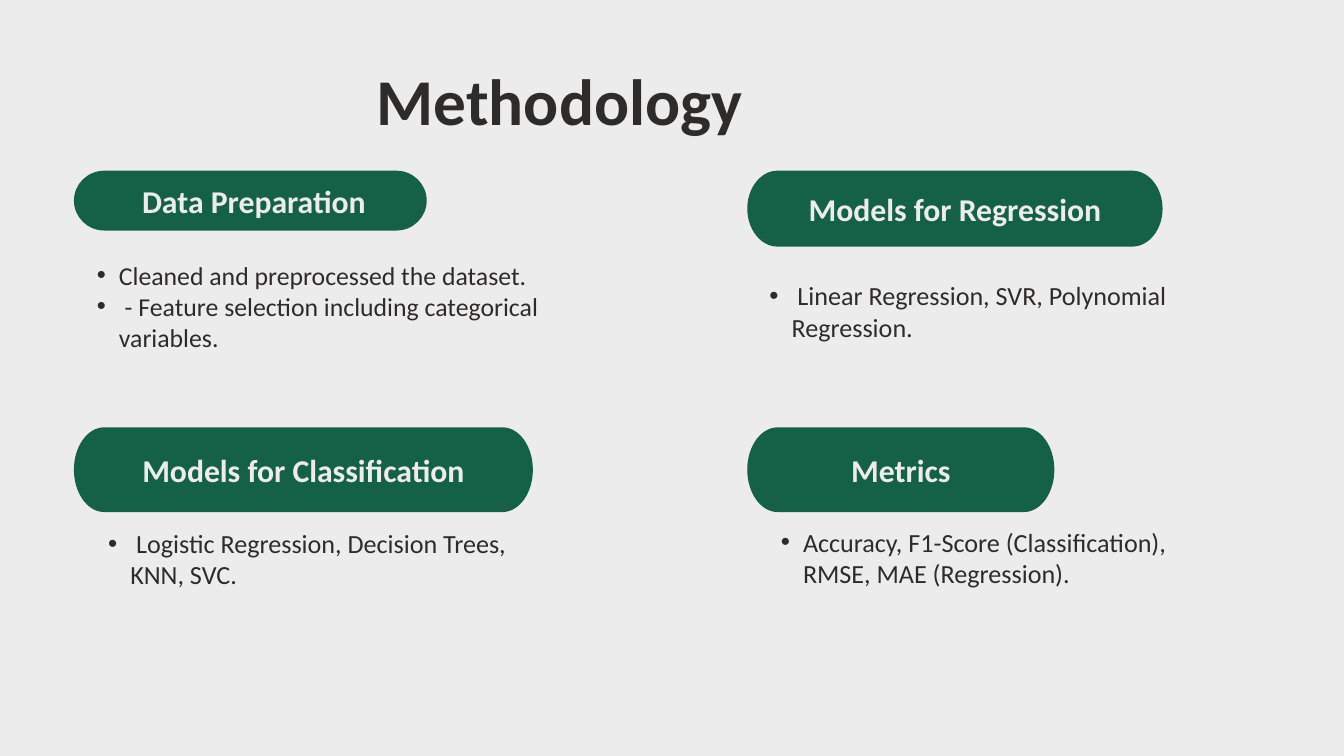
import pptx
import pptx.dml.color
import pptx.enum.text
import pptx.oxml.ns
import pptx.util
from lxml import etree

EMU_PER_PX = 9144  # 100 px to the inch
GREEN = pptx.dml.color.RGBColor(0x14, 0x61, 0x48)
LIGHT = pptx.dml.color.RGBColor(0xED, 0xEC, 0xED)
DARK = pptx.dml.color.RGBColor(0x2E, 0x2C, 0x2B)

TITLE = {"size": pptx.util.Pt(70), "bold": True}
HEADING = {"size": pptx.util.Pt(34), "bold": True}
CAP_WIDTH = 45
CURVE = 0.55
LABEL_SHIFT = 6
LABEL_INSET = 6
BULLET_HANG = 33

# Each section: heading, pill box, bullet box, bullet size, line spacing,
# bullet indent, bullets.
SECTIONS = [
    (" Data Preparation", (110, 254, 525, 89), (112, 386, 776, 229), 27.6, 33.2, 65,
     ["Cleaned and preprocessed the dataset.",
      " - Feature selection including categorical variables."]),
    ("Models for Classification", (110, 636, 683, 126), (128, 785, 680, 92), 28, 33.6, 66,
     [" Logistic Regression, Decision Trees, KNN, SVC."]),
    ("Models for Regression", (1112, 254, 618, 113), (1112, 416, 645, 92), 28, 33.6, 66,
     [" Linear Regression, SVR, Polynomial Regression."]),
    ("Metrics", (1112, 636, 457, 126), (1129, 783, 680, 138), 28, 33.6, 66,
     ["Accuracy, F1-Score (Classification), RMSE, MAE (Regression)."]),
]


def emu(pixels):
    return pptx.util.Emu(round(pixels * EMU_PER_PX))


def add_child(parent, tag, **attributes):
    element = etree.SubElement(parent, pptx.oxml.ns.qn(tag))
    for name, value in attributes.items():
        element.set(name, str(value))
    return element


def curve_segment(segment, start, end, leaves_level):
    """Turn a straight path segment into a quarter ellipse."""
    (x0, y0), (x1, y1) = start, end
    dx, dy = CURVE * (x1 - x0), CURVE * (y1 - y0)
    if leaves_level:
        points = [(x0 + dx, y0), (x1, y1 - dy), end]
    else:
        points = [(x0, y0 + dy), (x1 - dx, y1), end]
    curve = etree.Element(pptx.oxml.ns.qn("a:cubicBezTo"))
    for x, y in points:
        add_child(curve, "a:pt", x=emu(x), y=emu(y))
    segment.getparent().replace(segment, curve)


class SlideBuilder:
    font_name = "Calibri"

    def __init__(self, slide):
        self.slide = slide

    def background(self, color):
        fill = self.slide.background.fill
        fill.solid()
        fill.fore_color.rgb = color

    def text(self, box, lines, style, color, spacing, inset=0):
        shape = self.slide.shapes.add_textbox(*map(emu, box))
        frame = shape.text_frame
        frame.word_wrap = True
        for side in ("left", "top", "right", "bottom"):
            setattr(frame, f"margin_{side}", emu(inset))
        for index, line in enumerate(lines):
            paragraph = frame.paragraphs[0] if index == 0 else frame.add_paragraph()
            paragraph.line_spacing = pptx.util.Pt(spacing)
            run = paragraph.add_run()
            run.text = line
            for name, value in {"name": self.font_name, **style}.items():
                setattr(run.font, name, value)
            run.font.color.rgb = color
        return frame

    def pill(self, box, heading):
        """Draw a bar with half-ellipse ends and a centred heading."""
        left, top, width, height = box
        right_cap, middle = width - CAP_WIDTH, height / 2
        corners = [(right_cap, 0), (width, middle), (right_cap, height),
                   (CAP_WIDTH, height), (0, middle), (CAP_WIDTH, 0)]
        points = [(emu(left + x), emu(top + y)) for x, y in corners]
        builder = self.slide.shapes.build_freeform(*points[0])
        builder.add_line_segments(points[1:], close=True)
        shape = builder.convert_to_shape()
        segments = list(shape._element.iter(pptx.oxml.ns.qn("a:lnTo")))
        for end, leaves_level in ((1, True), (2, False), (4, True), (5, False)):
            curve_segment(segments[end - 1], corners[end - 1], corners[end], leaves_level)
        # The closing edge is already drawn by the path's close command.
        shape.shadow.inherit = False
        shape.fill.solid()
        shape.fill.fore_color.rgb = GREEN
        shape.line.fill.background()

        label_box = (left, top + LABEL_SHIFT, width, height - LABEL_SHIFT)
        frame = self.text(label_box, [heading], HEADING, LIGHT, 37.4, LABEL_INSET)
        frame.vertical_anchor = pptx.enum.text.MSO_ANCHOR.MIDDLE
        frame.paragraphs[0].alignment = pptx.enum.text.PP_ALIGN.CENTER

    def bullets(self, box, lines, size, spacing, indent):
        frame = self.text(box, lines, {"size": pptx.util.Pt(size)}, DARK, spacing)
        frame.auto_size = pptx.enum.text.MSO_AUTO_SIZE.SHAPE_TO_FIT_TEXT
        for paragraph in frame.paragraphs:
            paragraph.level = 1
            properties = paragraph._p.get_or_add_pPr()
            properties.set("marL", str(emu(indent)))
            properties.set("indent", str(emu(-BULLET_HANG)))
            add_child(properties, "a:buFont", typeface="Arial")
            add_child(properties, "a:buChar", char="•")


def main():
    presentation = pptx.Presentation()
    presentation.slide_width = emu(2000)
    presentation.slide_height = emu(1125)
    builder = SlideBuilder(presentation.slides.add_slide(presentation.slide_layouts[6]))

    builder.background(LIGHT)
    title = builder.text((561, 90, 1053, 116), ["Methodology"], TITLE, DARK, 84)
    title.auto_size = pptx.enum.text.MSO_AUTO_SIZE.SHAPE_TO_FIT_TEXT
    for heading, pill_box, bullet_box, size, spacing, indent, lines in SECTIONS:
        builder.pill(pill_box, heading)
        builder.bullets(bullet_box, lines, size, spacing, indent)

    presentation.save("out.pptx")


if __name__ == "__main__":
    main()
